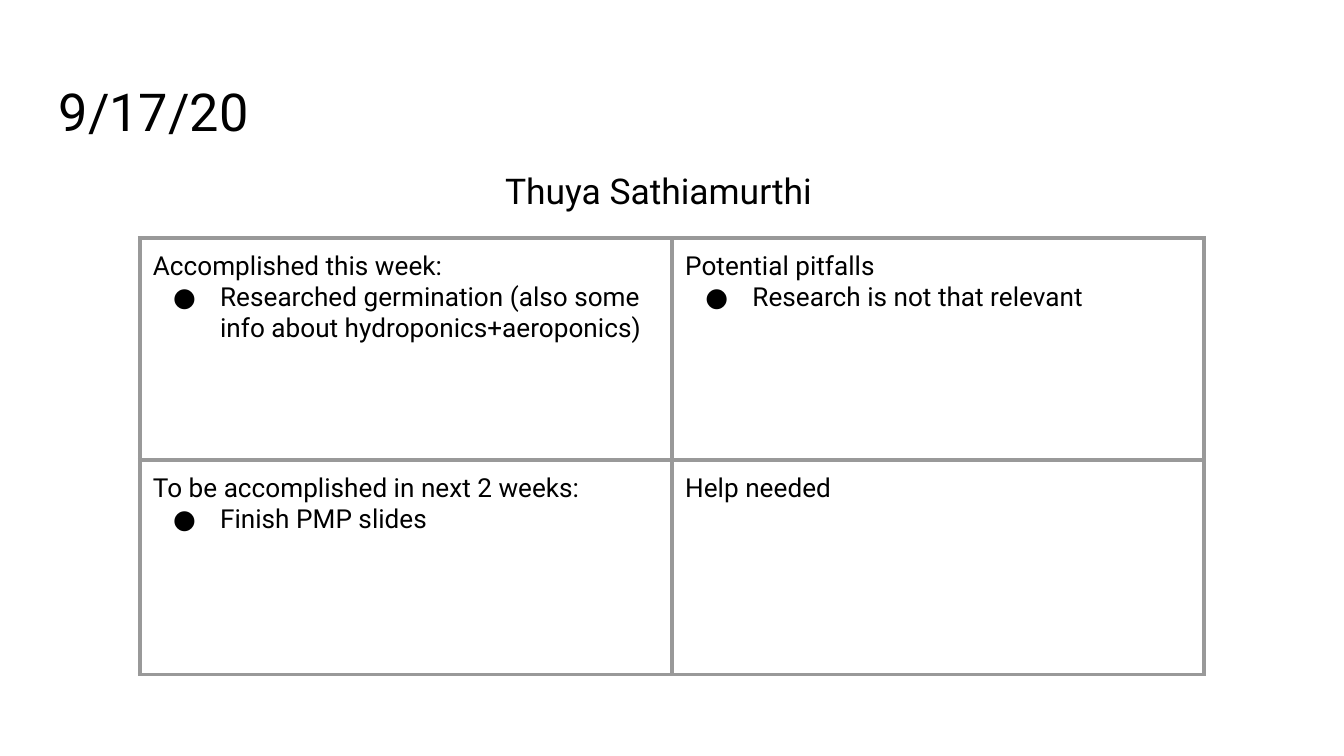
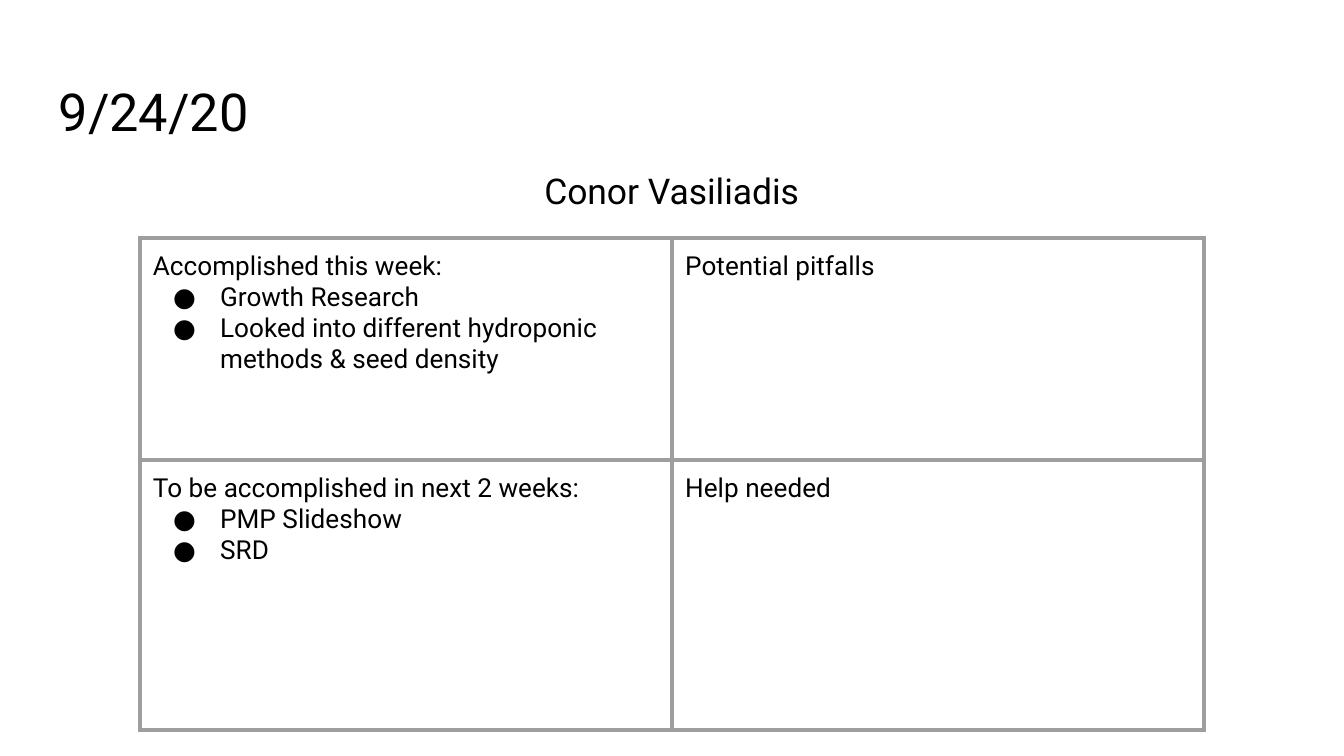
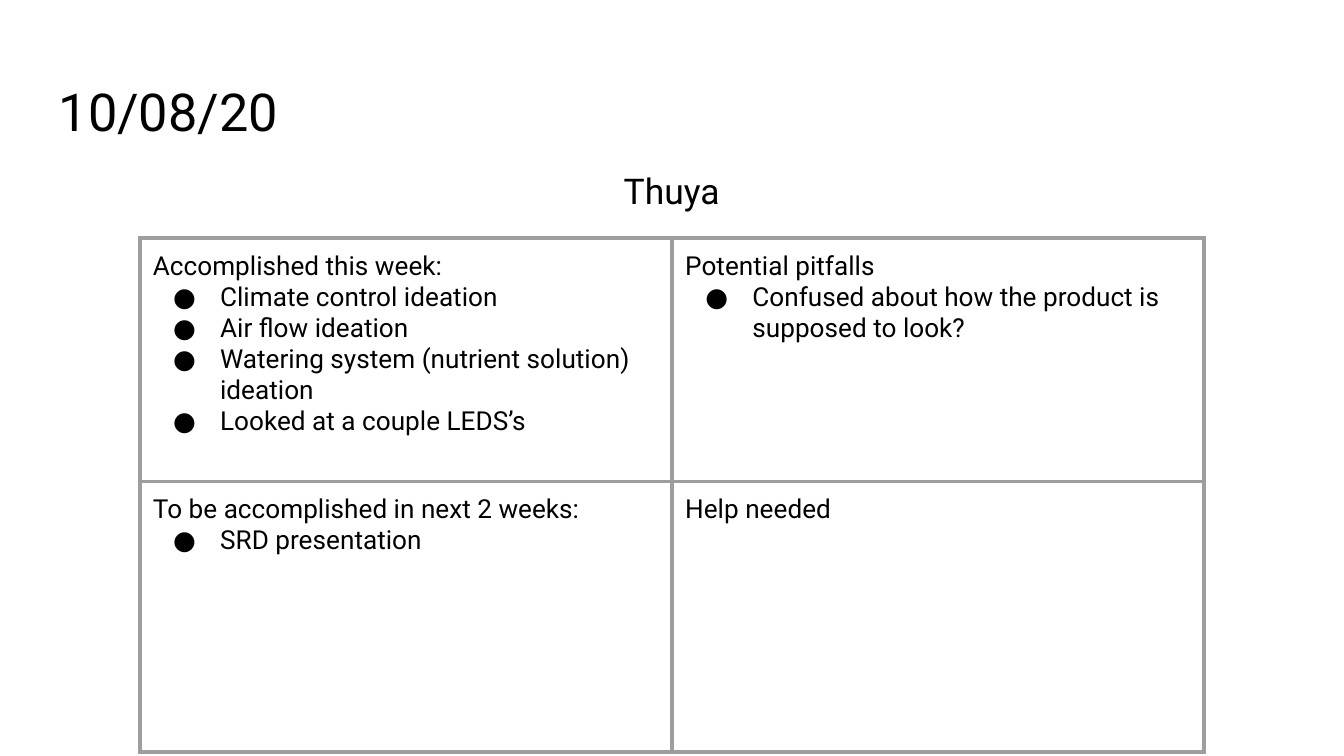
from lxml.etree import SubElement
from pptx import Presentation
from pptx.dml.color import RGBColor
from pptx.enum.text import PP_ALIGN
from pptx.oxml.ns import qn
from pptx.util import Cm, Pt

BLACK = RGBColor(0x00, 0x00, 0x00)
WHITE = RGBColor(0xFF, 0xFF, 0xFF)
GRAY = RGBColor(0x99, 0x99, 0x99)
SILVER = RGBColor(0x9E, 0x9E, 0x9E)
FONT = "Roboto"
PAD = Cm(0.25)
LEFT, WIDTH = Cm(0.86), Cm(23.67)

DONE = "Accomplished this week:"
RISKS = "Potential pitfalls"
NEXT = "To be accomplished in next 2 weeks:"
HELP = "Help needed"


def add_run(para, text, size):
    run = para.add_run()
    run.text = text
    run.font.name = FONT
    run.font.size = Pt(size)
    run.font.color.rgb = BLACK


def add_line(slide, left, top, height, text, size):
    """Add a text box with one paragraph and return that paragraph."""
    frame = slide.shapes.add_textbox(left, top, WIDTH, height).text_frame
    frame.word_wrap = True
    frame.margin_left = frame.margin_right = PAD
    frame.margin_top = frame.margin_bottom = PAD
    para = frame.paragraphs[0]
    add_run(para, text, size)
    return para


def add_title(slide, date):
    add_line(slide, LEFT, Cm(1.24), Cm(1.6), date, 28)


def add_name(slide, name, left):
    para = add_line(slide, left, Cm(2.82), Cm(9.5), name, 19)
    para.alignment = PP_ALIGN.CENTER
    para.line_spacing = 1.15
    para.space_after = Pt(16)


def set_bullet(para):
    props = para._p.get_or_add_pPr()
    props.set("marL", str(Cm(1.27)))
    props.set("indent", str(-Cm(0.89)))
    tint = SubElement(props, qn("a:buClr"))
    SubElement(tint, qn("a:srgbClr"), val=str(BLACK))
    SubElement(props, qn("a:buFont"), typeface=FONT)
    SubElement(props, qn("a:buChar"), char="●")


def set_edges(cell, color):
    props = cell._tc.get_or_add_tcPr()
    for side in ("lnL", "lnR", "lnT", "lnB"):
        edge = SubElement(props, qn(f"a:{side}"), w=str(Pt(2.25)))
        fill = SubElement(edge, qn("a:solidFill"))
        SubElement(fill, qn("a:srgbClr"), val=str(color))


def fill_cell(cell, head, items, color):
    cell.margin_left = cell.margin_right = PAD
    cell.margin_top = cell.margin_bottom = PAD
    set_edges(cell, color)
    cell.fill.background()
    frame = cell.text_frame
    add_run(frame.paragraphs[0], head, 14)
    for item in items:
        para = frame.add_paragraph()
        set_bullet(para)
        add_run(para, item, 14)


def add_grid(slide, boxes, rows, color):
    """Add the two by two status table; boxes run row by row."""
    wide = Cm(10.06)
    table = slide.shapes.add_table(
        2, 2, Cm(2.64), Cm(4.5), 2 * wide, sum(rows)).table
    table.first_row = table.horz_banding = False
    for col in table.columns:
        col.width = wide
    for row, height in zip(table.rows, rows):
        row.height = height
    for cell, (head, items) in zip(table.iter_cells(), boxes.items()):
        fill_cell(cell, head, items, color)


def add_report(deck, date, name, boxes, rows, color=SILVER, left=LEFT):
    slide = deck.slides.add_slide(deck.slide_layouts[6])
    slide.background.fill.solid()
    slide.background.fill.fore_color.rgb = WHITE
    add_title(slide, date)
    add_name(slide, name, left)
    add_grid(slide, boxes, rows, color)


def main():
    deck = Presentation()
    deck.slide_width, deck.slide_height = Cm(25.4), Cm(14.29)
    add_report(deck, "9/17/20", "Thuya Sathiamurthi", {
        DONE: ["Researched germination (also some info about "
               "hydroponics+aeroponics)"],
        RISKS: ["Research is not that relevant"],
        NEXT: ["Finish PMP slides"],
        HELP: [],
    }, (Cm(4.19), Cm(4.06)), GRAY, Cm(0.61))
    add_report(deck, "9/24/20", "Conor Vasiliadis", {
        DONE: ["Growth Research",
               "Looked into different hydroponic methods & seed density"],
        RISKS: [],
        NEXT: ["PMP Slideshow", "SRD"],
        HELP: [],
    }, (Cm(4.19), Cm(5.11)))
    add_report(deck, "10/08/20", "Thuya", {
        DONE: ["Climate control ideation",
               "Air flow ideation",
               "Watering system (nutrient solution) ideation",
               "Looked at a couple LEDS’s"],
        RISKS: ["Confused about how the product is supposed to look?"],
        NEXT: ["SRD presentation"],
        HELP: [],
    }, (Cm(4.6), Cm(5.11)))
    deck.save("out.pptx")


if __name__ == "__main__":
    main()
